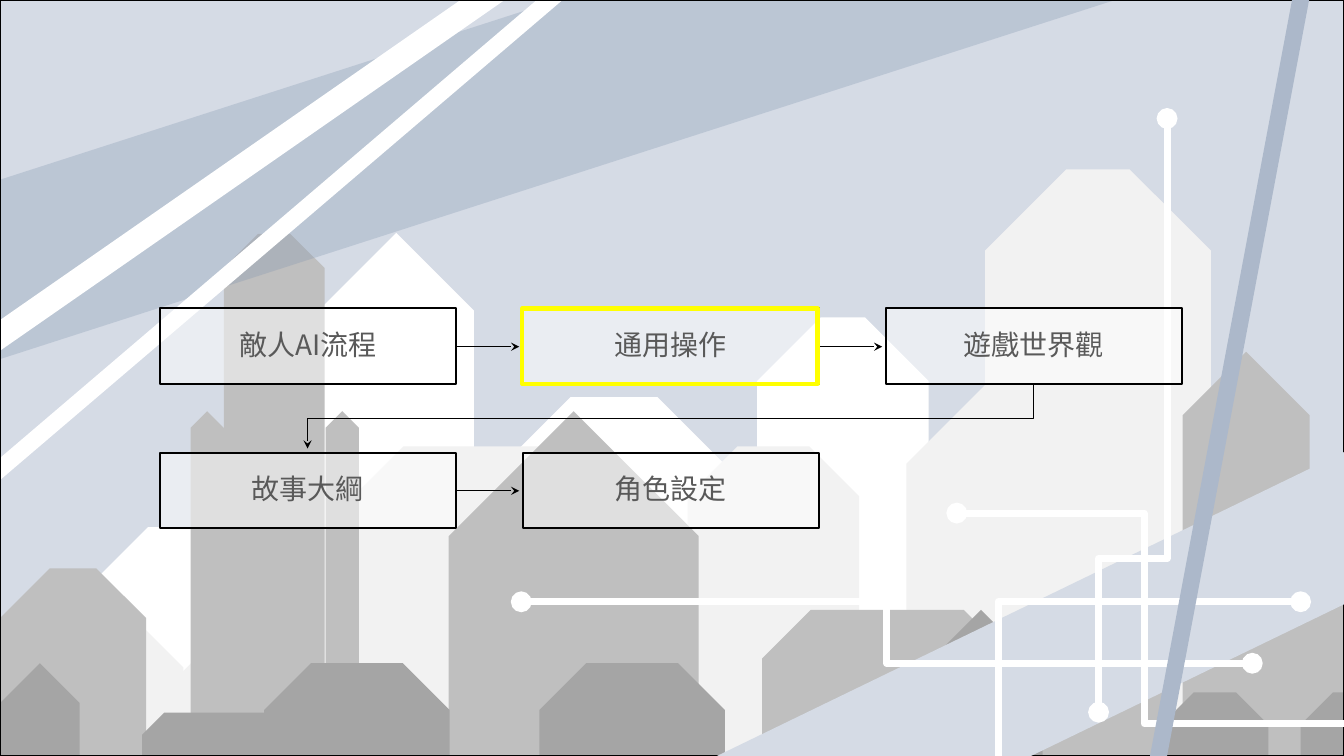
from pptx import Presentation
from pptx import util as u
from pptx.dml.color import RGBColor
from pptx.enum import shapes, text
from pptx.oxml import parse_xml
from pptx.oxml.ns import nsdecls, qn

PX = 9144  # 100 px to the inch
FONT = "Noto Sans CJK TC"
SKY, WHITE, BLACK = "D5DBE5", "FFFFFF", "000000"
FORM, LINK = shapes.MSO_SHAPE, shapes.MSO_CONNECTOR

deck = Presentation()
deck.slide_width, deck.slide_height = 1333 * PX, 750 * PX
slide = deck.slides.add_slide(deck.slide_layouts[6])
slide.background.fill.solid()
slide.background.fill.fore_color.rgb = RGBColor.from_string(SKY)


def draw(kind, at, adj=(), fill=None, alpha=100, line=None, width=1,
         label=None, size=20, color="595959"):
    """Add a preset shape with its paint and an optional centred label."""
    shape = slide.shapes.add_shape(kind, *(n * PX for n in at))
    shape.shadow.inherit = False
    for i, n in enumerate(adj):
        shape.adjustments[i] = n
    if fill:
        shape.fill.solid()
        shape.fill.fore_color.rgb = RGBColor.from_string(fill)
        if alpha < 100:
            tint = shape.fill._xPr.find(".//" + qn("a:srgbClr"))
            tint.append(parse_xml(f'<a:alpha {nsdecls("a")} val="{alpha * 1000}"/>'))
    else:
        shape.fill.background()
    if line:
        shape.line.color.rgb = RGBColor.from_string(line)
        shape.line.width = u.Pt(width)
    else:
        shape.line.fill.background()
    if label:
        frame = shape.text_frame
        frame.word_wrap = True
        frame.vertical_anchor = text.MSO_ANCHOR.MIDDLE
        frame.margin_left = frame.margin_right = 16 * PX
        frame.margin_top = frame.margin_bottom = 16 * PX
        para = frame.paragraphs[0]
        para.alignment = text.PP_ALIGN.CENTER
        para.line_spacing = 0.9
        run = para.add_run()
        run.text = label
        run.font.size = u.Pt(size)
        run.font.name = FONT
        run.font.color.rgb = RGBColor.from_string(color)
        run._r.rPr.append(parse_xml(f'<a:ea {nsdecls("a")} typeface="{FONT}"/>'))
    return shape


def wire(start, end, color, width, bend=None, down=False, head=None, tail=None):
    """Add a line; bend sets an elbow, and down makes it leave downwards to the left."""
    (x1, y1), (x2, y2) = start, end
    if down:
        # An elbow runs sideways, so lay it flat about its centre, then turn it.
        mx, my, dx, dy = (x1 + x2) // 2, (y1 + y2) // 2, x1 - x2, y2 - y1
        x1, y1 = mx - dy // 2, my - dx // 2
        x2, y2 = x1 + dy, y1 + dx
    kind = LINK.STRAIGHT if bend is None else LINK.ELBOW
    link = slide.shapes.add_connector(kind, x1 * PX, y1 * PX, x2 * PX, y2 * PX)
    link.line.color.rgb = RGBColor.from_string(color)
    link.line.width = u.Pt(width)
    props = link._element.spPr
    if down:
        props.find(qn("a:xfrm")).set("rot", "5400000")
    if bend is not None:
        guides = props.find(qn("a:prstGeom")).get_or_add_avLst()
        guides.append(parse_xml(
            f'<a:gd {nsdecls("a")} name="adj1" fmla="val {round(bend * 100000)}"/>'))
    for tag, tip in (("headEnd", head), ("tailEnd", tail)):
        if tip:
            link.line._ln.append(parse_xml(f'<a:{tag} {nsdecls("a")} type="{tip}"/>'))
    props.append(parse_xml(f'<a:effectLst {nsdecls("a")}/>'))


# Skyline, from the far row to the near one: left, top, width, height, cut
city = {
    WHITE: [
        (1249, 618, 84, 131, 0.5), (1139, 407, 120, 343, 0.33),
        (751, 315, 170, 434, 0.37), (443, 394, 332, 356, 0.37),
        (316, 231, 154, 518, 0.5), (91, 523, 180, 227, 0.31)],
    "F2F2F2": [
        (899, 375, 170, 375, 0.5), (1108, 443, 144, 307, 0.36),
        (977, 168, 224, 582, 0.36), (682, 443, 170, 307, 0.29),
        (311, 443, 324, 307, 0.29), (163, 619, 180, 131, 0.5),
        (2, 619, 180, 131, 0.33)],
    "BFBFBF": [
        (1174, 485, 285, 265, 0.42), (1003, 605, 154, 146, 0.33),
        (1173, 349, 126, 402, 0.5), (756, 605, 248, 146, 0.33),
        (445, 408, 248, 343, 0.5), (323, 408, 33, 343, 0.5),
        (222, 232, 100, 518, 0.34), (189, 408, 33, 343, 0.5),
        (0, 564, 145, 187, 0.34)],
    "A5A5A5": [
        (1290, 687, 219, 64, 0.5), (1152, 687, 106, 64, 0.5),
        (912, 605, 122, 146, 0.5), (535, 658, 184, 93, 0.5),
        (831, 687, 99, 64, 0.5), (262, 658, 184, 93, 0.5),
        (141, 707, 153, 44, 0.5), (0, 658, 79, 93, 0.5)],
}
for tone, row in city.items():
    for *at, cut in row:
        draw(FORM.SNIP_2_SAME_RECTANGLE, at, adj=(cut, 0), fill=tone)

# Light beams, frame and circuit
draw(FORM.DIAGONAL_STRIPE, (0, 0, 442, 152), adj=(0,), fill=SKY)
draw(FORM.DIAGONAL_STRIPE, (1, 0, 1105, 356), adj=(0.5,), fill="8296B0", alpha=30)
wire((565, -17), (-9, 473), WHITE, 12)
wire((503, -17), (-9, 339), WHITE, 18)
draw(FORM.RECTANGLE, (0, 0, 1333, 750), line=BLACK)
road = draw(FORM.DIAGONAL_STRIPE, (711, 448, 623, 302), adj=(0.5,), fill=SKY)
road.rotation = 180
for start, end, bend, down in [
        ((1290, 597), (852, 777), 0.685, False),
        ((517, 597), (1242, 658), 0.5, False),
        ((1157, 118), (1089, 707), 0.741, True),
        ((949, 509), (1383, 718), 0.428, False)]:
    wire(start, end, WHITE, 5, bend=bend, down=down, head="oval", tail="oval")

# Agenda: three boxes to a row, each pointing to the next
topics = ["敵人AI流程", "通用操作", "遊戲世界觀", "故事大綱", "角色設定"]
LEFT, TOP, WIDE, HIGH, STEP, DROP, COLS = 159, 306, 293, 75, 360, 143, 3
for i, topic in enumerate(topics):
    x, y = LEFT + i % COLS * STEP, TOP + i // COLS * DROP
    draw(FORM.RECTANGLE, (x, y, WIDE, HIGH), fill=WHITE, alpha=50,
         line=BLACK, width=1.5, label=topic)
    if i == len(topics) - 1:
        break
    if i % COLS < COLS - 1:
        mid = y + HIGH // 2 + 1
        wire((x + WIDE, mid), (x + STEP - 4, mid), BLACK, 0.75, tail="stealth")
    else:
        wire((x + WIDE // 2, y + HIGH), (LEFT + WIDE // 2, y + DROP - 4),
             BLACK, 0.75, bend=0.53, down=True, tail="stealth")

wire((1301, -59), (1144, 777), "ACB8CA", 12)
draw(FORM.RECTANGLE, (LEFT + STEP - 1, TOP, WIDE, HIGH), line="FFFF00", width=3)

deck.save("out.pptx")
